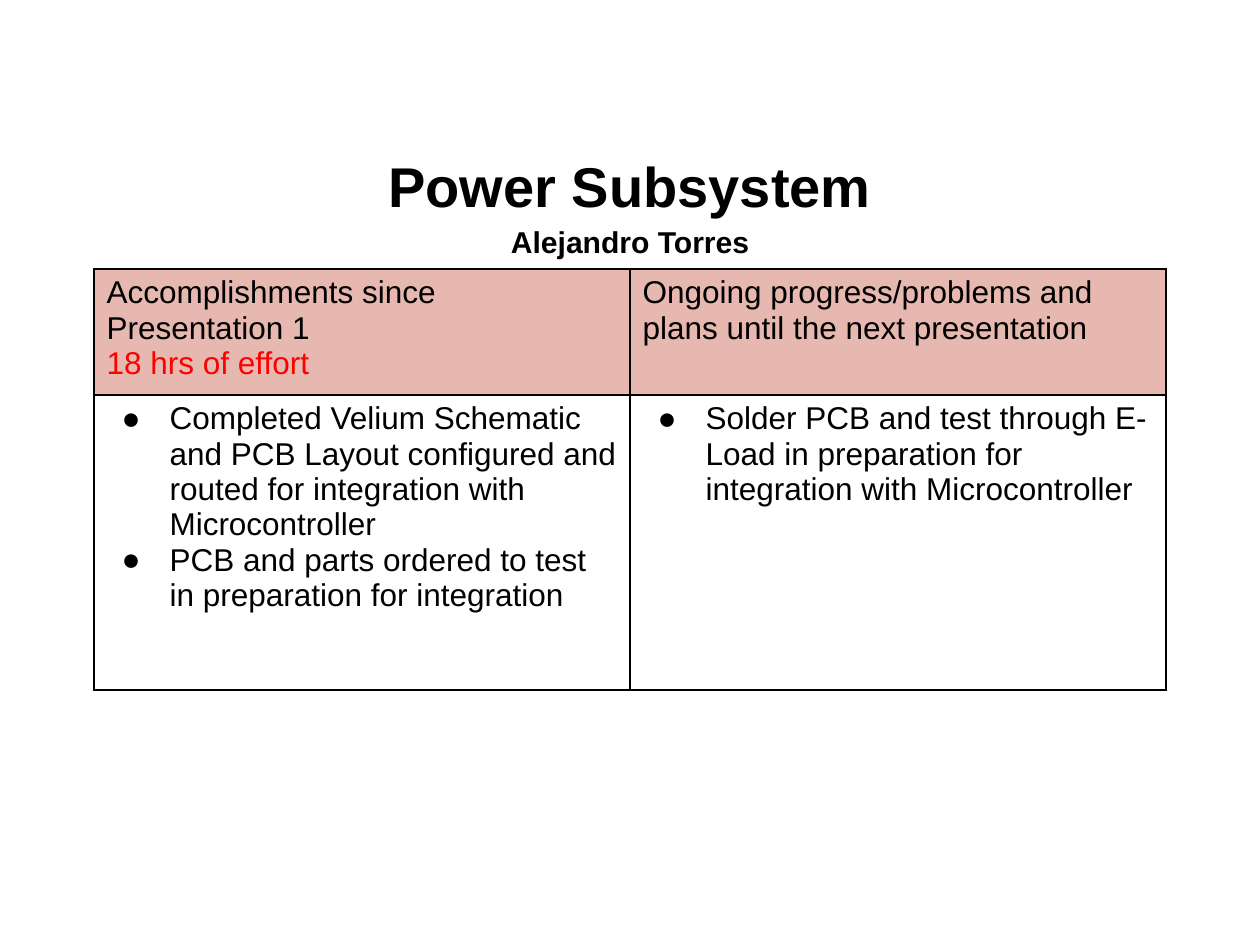
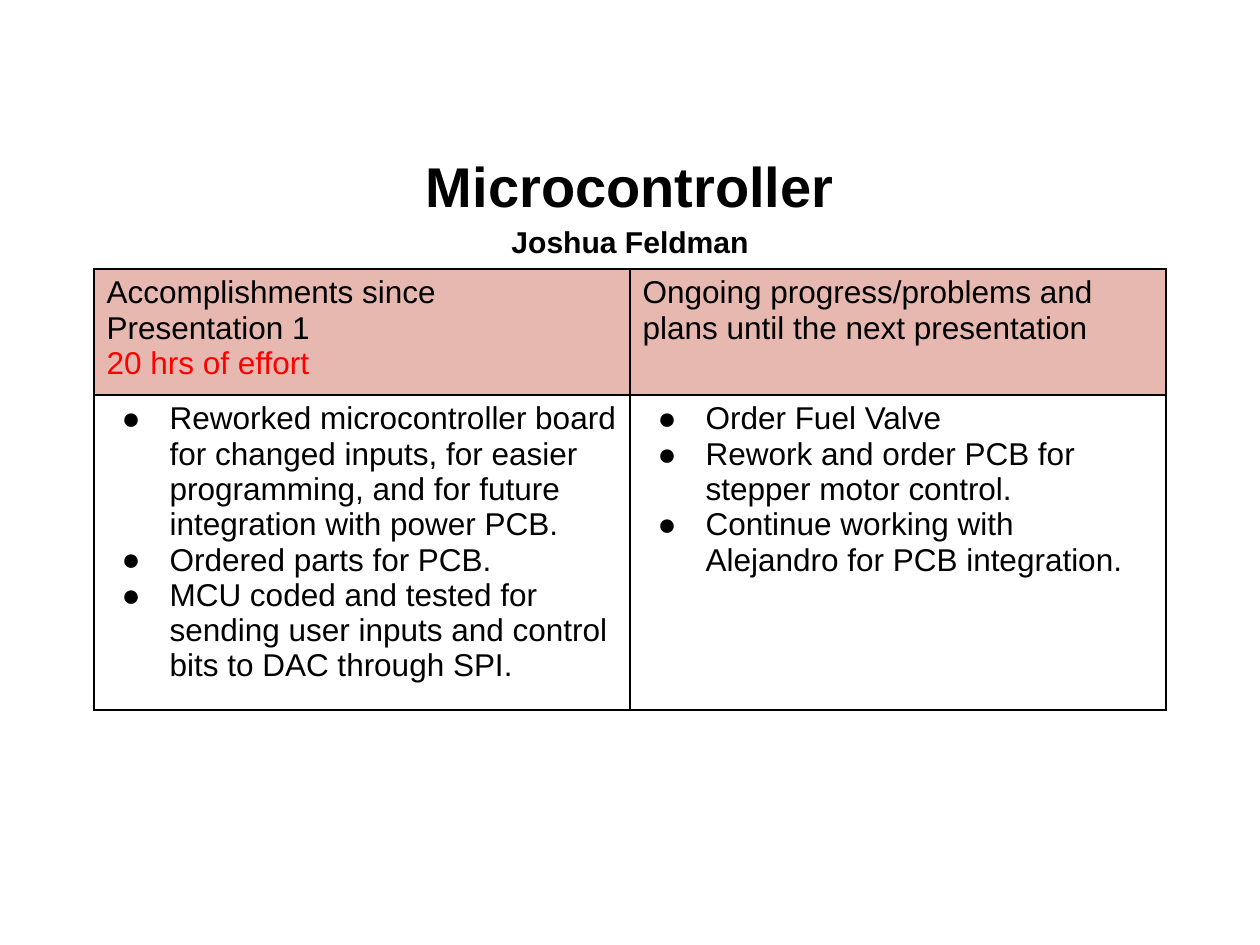
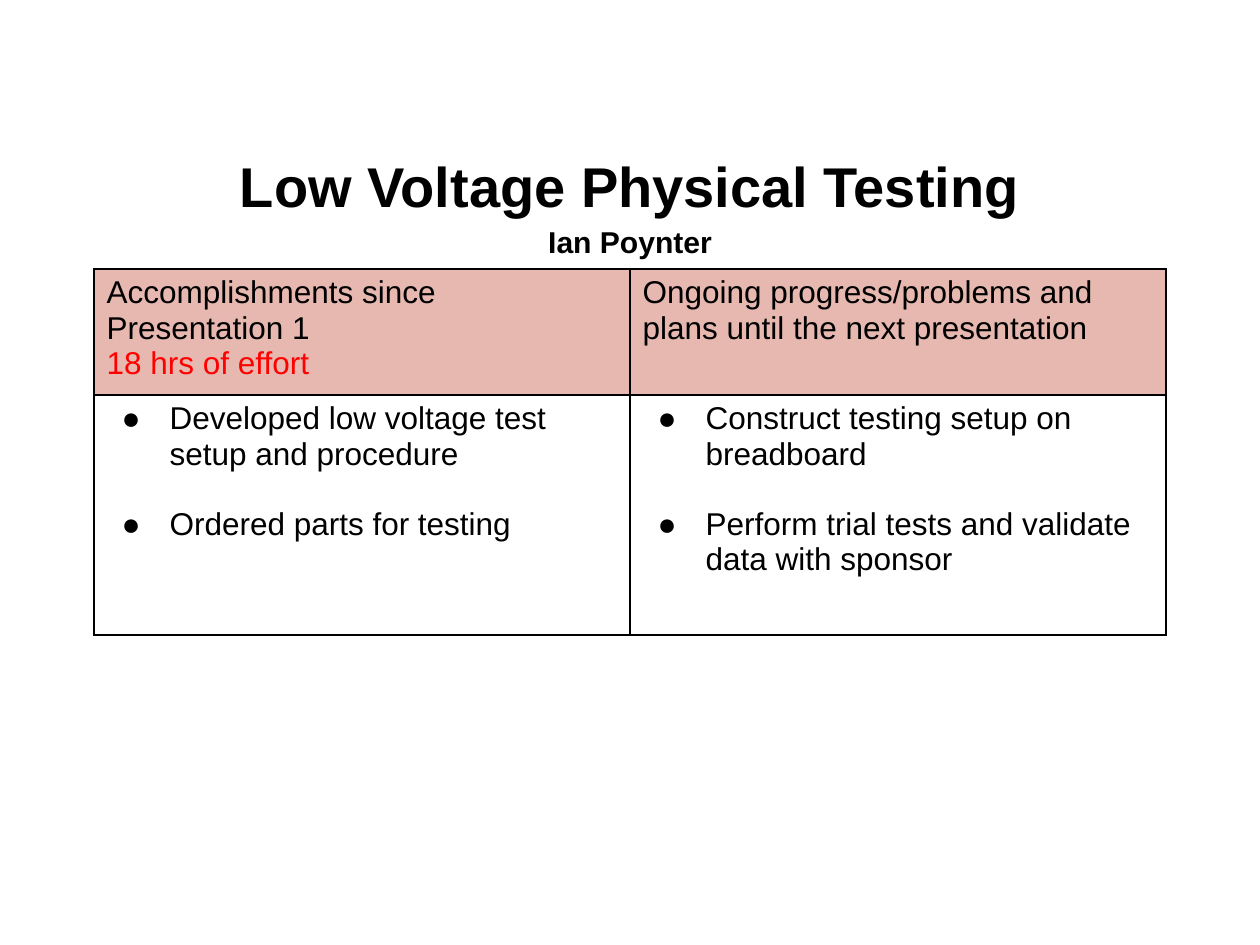
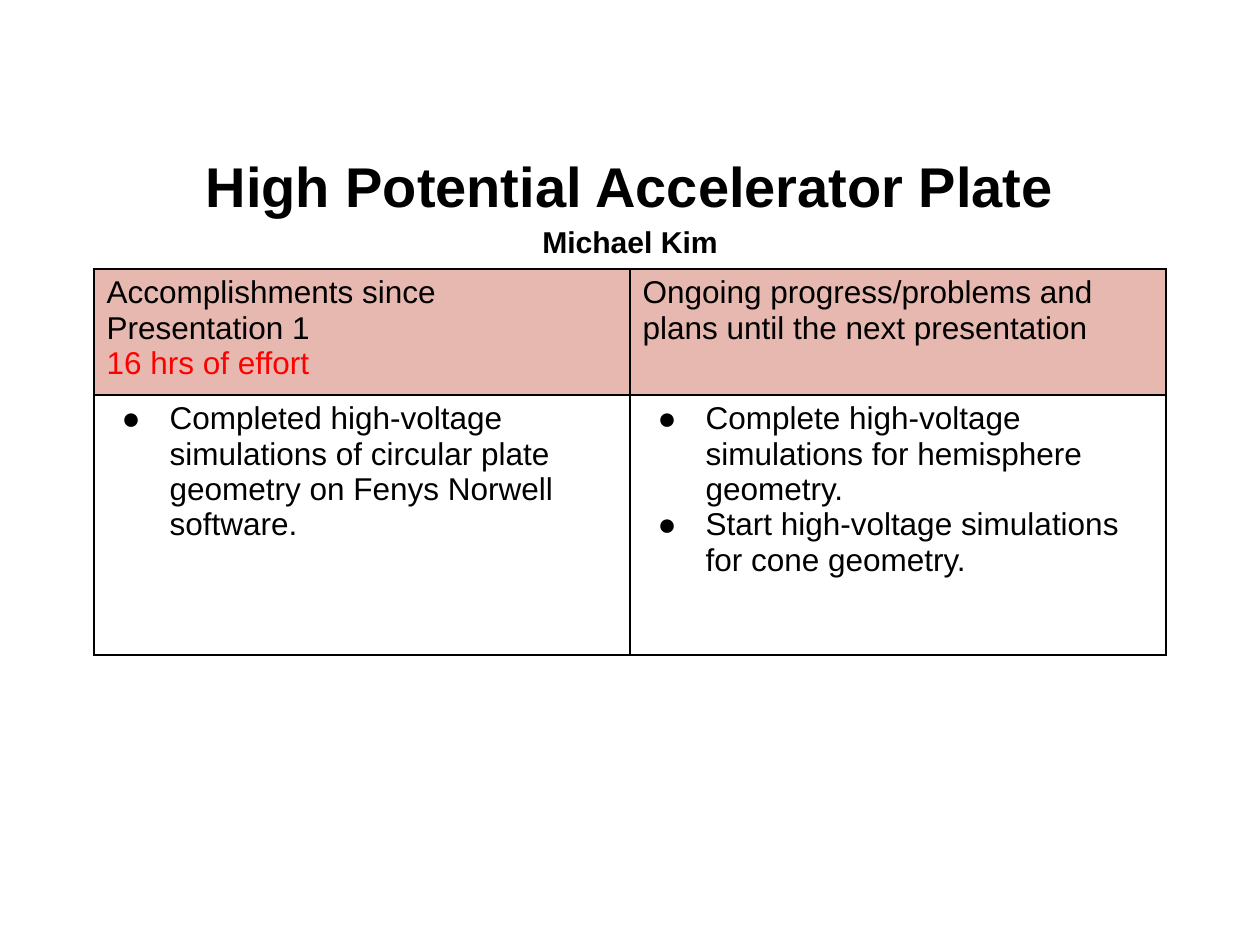
from lxml.etree import SubElement
from pptx import Presentation
from pptx.dml.color import RGBColor
from pptx.enum.text import MSO_ANCHOR, PP_ALIGN
from pptx.oxml.ns import qn
from pptx.util import Pt

INK, RED, ROSE = "000000", "FF0000", "E6B8AF"
FONT = "Arial"
DONE = "Accomplishments since Presentation 1"
NEXT = "Ongoing progress/problems and plans until the next presentation"

REPORTS = [
    dict(title="Power Subsystem", name="Alejandro Torres", hours=18, tall=295, gap=0,
         done=["Completed Velium Schematic and PCB Layout configured and routed "
               "for integration with Microcontroller",
               "PCB and parts ordered to test in preparation for integration"],
         plans=["Solder PCB and test through E-Load in preparation for "
                "integration with Microcontroller"]),
    dict(title="Microcontroller", name="Joshua Feldman", hours=20, tall=295, gap=0,
         done=["Reworked microcontroller board for changed inputs, for easier "
               "programming, and for future integration with power PCB.",
               "Ordered parts for PCB.",
               "MCU coded and tested for sending user inputs and control bits "
               "to DAC through SPI."],
         plans=["Order Fuel Valve",
                "Rework and order PCB for stepper motor control.",
                "Continue working with Alejandro for PCB integration."]),
    dict(title="Low Voltage Physical Testing", name="Ian Poynter", hours=18, tall=240, gap=20,
         done=["Developed low voltage test setup and procedure",
               "Ordered parts for testing"],
         plans=["Construct testing setup on breadboard",
                "Perform trial tests and validate data with sponsor"]),
    dict(title="High Potential Accelerator Plate", name="Michael Kim", hours=16, tall=260, gap=0,
         done=["Completed high-voltage simulations of circular plate geometry "
               "on Fenys Norwell software."],
         plans=["Complete high-voltage simulations for hemisphere geometry.",
                "Start high-voltage simulations for cone geometry."]),
]

LEFT, TOP, COL, HEAD = 94, 269, 536, 118
INDENT, HANG = 63, 48


def px(n):
    return round(n * 914400 / 126)


def rgb(code):
    return RGBColor.from_string(code)


def style(para, size, color=INK, bold=False):
    for run in para.runs:
        font = run.font
        font.name, font.size, font.bold = FONT, Pt(size), bold
        font.color.rgb = rgb(color)


def bullet(para):
    props = para._p.get_or_add_pPr()
    props.set("marL", str(px(INDENT)))
    props.set("indent", str(-px(HANG)))
    tint = SubElement(props, qn("a:buClr"))
    SubElement(tint, qn("a:srgbClr"), val=INK)
    SubElement(props, qn("a:buFont"), typeface=FONT)
    SubElement(props, qn("a:buChar"), char="●")


def border(cell):
    props = cell._tc.get_or_add_tcPr()
    for side in ("lnL", "lnR", "lnT", "lnB"):
        line = SubElement(props, qn("a:" + side), w=str(Pt(1)))
        fill = SubElement(line, qn("a:solidFill"))
        SubElement(fill, qn("a:srgbClr"), val=INK)


def add_title(slide, report):
    box = slide.shapes.add_textbox(px(63), px(145), px(1134), px(111))
    frame = box.text_frame
    frame.word_wrap = True
    frame.vertical_anchor = MSO_ANCHOR.MIDDLE
    frame.text = report["title"] + "\n" + report["name"]
    for para, size in zip(frame.paragraphs, (32, 17.2)):
        para.alignment = PP_ALIGN.CENTER
        para.line_spacing = 1.15
        style(para, size, bold=True)


def fill_head(cell, lines):
    cell.text_frame.text = "\n".join(lines)
    for para, color in zip(cell.text_frame.paragraphs, (INK, RED)):
        style(para, 18, color)
    cell.fill.solid()
    cell.fill.fore_color.rgb = rgb(ROSE)


def fill_list(cell, items, gap):
    cell.text_frame.text = "\n".join(items)
    for i, para in enumerate(cell.text_frame.paragraphs):
        bullet(para)
        if i and gap:
            para.space_before = Pt(gap)
        style(para, 18)
    cell.fill.background()


def add_grid(slide, report):
    rows = (HEAD, report["tall"])
    frame = slide.shapes.add_table(2, 2, px(LEFT), px(TOP), px(2 * COL), px(sum(rows)))
    table = frame.table
    table.first_row = table.horz_banding = False
    for row, tall in zip(table.rows, rows):
        row.height = px(tall)
    for cell in table.iter_cells():
        border(cell)
    heads = [DONE, f"{report['hours']} hrs of effort"], [NEXT]
    lists = report["done"], report["plans"]
    for col, (head, items) in enumerate(zip(heads, lists)):
        fill_head(table.cell(0, col), head)
        fill_list(table.cell(1, col), items, report["gap"])


def main():
    deck = Presentation()
    deck.slide_width, deck.slide_height = px(1260), px(945)
    for report in REPORTS:
        slide = deck.slides.add_slide(deck.slide_layouts[6])
        add_title(slide, report)
        add_grid(slide, report)
    deck.save("out.pptx")


if __name__ == "__main__":
    main()
